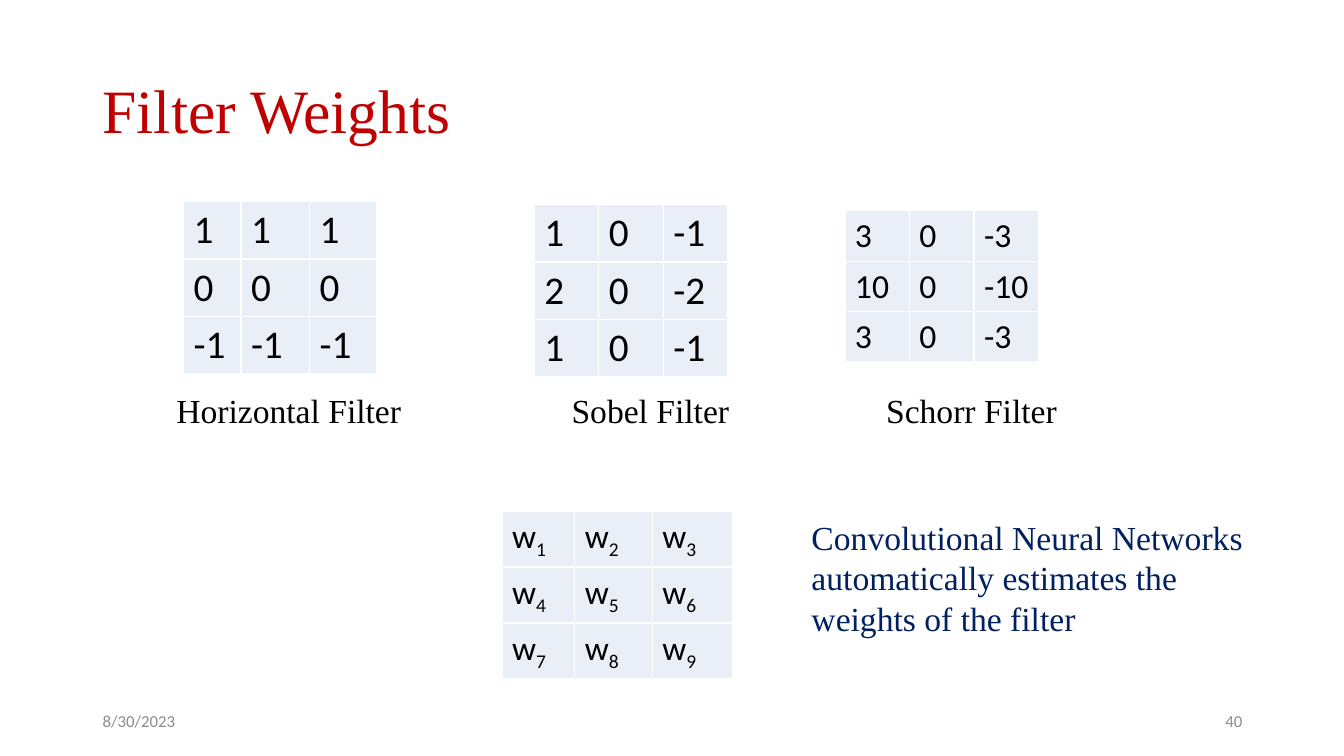
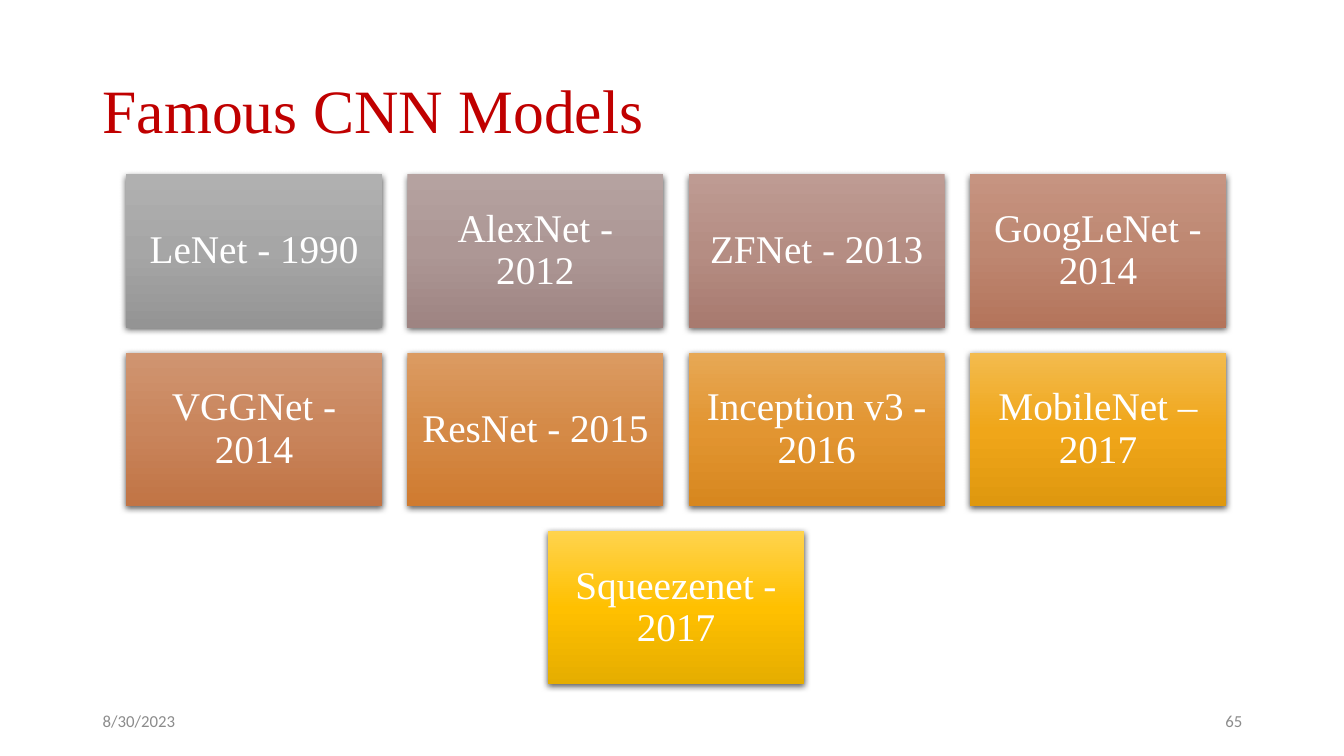
import colorsys

import pptx
import pptx.dml.color
import pptx.enum.shapes
import pptx.enum.text
import pptx.oxml
import pptx.oxml.ns
import pptx.util

Inches = pptx.util.Inches
Pt = pptx.util.Pt
ALIGN = pptx.enum.text.PP_ALIGN
MIDDLE = pptx.enum.text.MSO_ANCHOR.MIDDLE

SERIF, SANS = "Times New Roman", "Calibri"
RED, NAVY, BLACK, WHITE = "C00000", "002060", "000000", "FFFFFF"
GREY, CELL = "8C8C8C", "EAEFF7"
DATE = "8/30/2023"
NS = pptx.oxml.ns.nsdecls("a")

FILTERS = [
    ((1.82, 2), (0.57, 0.68, 0.67), 0.57, 28, ["1 1 1", "0 0 0", "-1 -1 -1"]),
    ((5.3, 2.03), (0.64, 0.64, 0.64), 0.57, 28, ["1 0 -1", "2 0 -2", "1 0 -1"]),
    ((8.38, 2.09), (0.64, 0.64, 0.64), 0.5, 24, ["3 0 -3", "10 0 -10", "3 0 -3"]),
    ((4.98, 5.07), (0.72, 0.77, 0.8), 0.53, 24, ["w_1 w_2 w_3", "w_4 w_5 w_6", "w_7 w_8 w_9"]),
]
CAPTIONS = [
    ("Horizontal Filter", (1.65, 3.82, 2.58, 0.5)),
    ("Sobel Filter", (5.57, 3.82, 2.09, 0.5)),
    ("Schorr Filter", (8.69, 3.82, 2.09, 0.5)),
]
MODELS = [
    "LeNet - 1990", "AlexNet - 2012", "ZFNet - 2013", "GoogLeNet - 2014",
    "VGGNet - 2014", "ResNet - 2015", "Inception v3 - 2016", "MobileNet – 2017",
    "Squeezenet - 2017",
]
TOP_LIGHTNESS = [0.69, 0.67, 0.66, 0.64, 0.63, 0.62, 0.62, 0.63, 0.65]
LAST_HUE = 45.2


def color(value):
    return pptx.dml.color.RGBColor.from_string(value)


def style(r, size, font, value):
    r.font.size = Pt(size)
    r.font.name = font
    r.font.color.rgb = color(value)


def write(sp, text, size, font, value, align=ALIGN.LEFT, anchor=None, spacing=None):
    tf = sp.text_frame
    tf.word_wrap = True
    tf.vertical_anchor = anchor
    tf.text = text
    p = tf.paragraphs[0]
    p.alignment = align
    p.line_spacing = spacing
    style(p.runs[0], size, font, value)


def add_text(s, box, *args, **kwargs):
    write(s.shapes.add_textbox(*map(Inches, box)), *args, **kwargs)


def add_base(prs, title, number):
    s = prs.slides.add_slide(prs.slide_layouts[6])
    add_text(s, (0.92, 0.4, 11.5, 1.45), title, 44, SERIF, RED, anchor=MIDDLE, spacing=0.9)
    add_text(s, (0.92, 6.95, 3, 0.4), DATE, 12, SANS, GREY, anchor=MIDDLE)
    add_text(s, (9.42, 6.95, 3, 0.4), number, 12, SANS, GREY, ALIGN.RIGHT, MIDDLE)
    return s


def fill_cell(cell, text, size):
    p = cell.text_frame.paragraphs[0]
    base, _, index = text.partition("_")
    p.text = base
    if index:
        r = p.add_run()
        r.text = index
        r._r.get_or_add_rPr().set("baseline", "-25000")
    for r in p.runs:
        style(r, size, SANS, BLACK)
    tc_pr = cell._tc.get_or_add_tcPr()
    for side in "LRTB":
        tc_pr.append(pptx.oxml.parse_xml(
            f'<a:ln{side} {NS} w="12700"><a:solidFill><a:srgbClr val="{WHITE}"/>'
            f'</a:solidFill></a:ln{side}>'))
    cell.fill.solid()
    cell.fill.fore_color.rgb = color(CELL)


def add_matrix(s, corner, widths, row_height, size, rows):
    box = (*corner, sum(widths), row_height * len(rows))
    table = s.shapes.add_table(len(rows), len(widths), *map(Inches, box)).table
    table.first_row = table.horz_banding = False
    for column, width in zip(table.columns, widths):
        column.width = Inches(width)
    for row, line in zip(table.rows, rows):
        row.height = Inches(row_height)
        for cell, text in zip(row.cells, line.split()):
            fill_cell(cell, text, size)


def tile_shades(i):
    t = i / (len(MODELS) - 1)
    for lightness in (TOP_LIGHTNESS[i], 0.65 - 0.15 * t, 0.58 - 0.13 * t):
        rgb = colorsys.hls_to_rgb(LAST_HUE * t / 360, lightness, t)
        yield "".join(f"{round(255 * c):02X}" for c in rgb)


def add_tile(s, box, text, shades):
    sp = s.shapes.add_shape(pptx.enum.shapes.MSO_SHAPE.RECTANGLE, *map(Inches, box))
    sp.line.fill.background()
    sp.shadow.inherit = False
    stops = "".join(f'<a:gs pos="{pos}"><a:srgbClr val="{shade}"/></a:gs>'
                    for pos, shade in zip((0, 50000, 100000), shades))
    sp_pr = sp._element.spPr
    sp_pr.insert(2, pptx.oxml.parse_xml(
        f'<a:gradFill {NS} rotWithShape="1"><a:gsLst>{stops}</a:gsLst>'
        '<a:lin ang="5400000" scaled="0"/></a:gradFill>'))
    sp_pr.find(pptx.oxml.ns.qn("a:effectLst")).append(pptx.oxml.parse_xml(
        f'<a:outerShdw {NS} blurRad="57150" dist="19050" dir="5400000" algn="ctr" '
        f'rotWithShape="0"><a:srgbClr val="{BLACK}"><a:alpha val="63000"/></a:srgbClr></a:outerShdw>'))
    tf = sp.text_frame
    tf.margin_left = tf.margin_right = tf.margin_top = tf.margin_bottom = Inches(0.12)
    write(sp, text, 28, SERIF, WHITE, ALIGN.CENTER, MIDDLE, 0.9)


def add_tile_grid(s, box, columns=4, gap=0.25):
    left, top, width, height = box
    rows = -(-len(MODELS) // columns)
    w = (width - gap * (columns - 1)) / columns
    h = (height - gap * (rows - 1)) / rows
    for i, model in enumerate(MODELS):
        row, column = divmod(i, columns)
        count = min(columns, len(MODELS) - row * columns)
        indent = (columns - count) * (w + gap) / 2
        x = left + indent + column * (w + gap)
        add_tile(s, (x, top + row * (h + gap), w, h), model, tile_shades(i))


def build_filters(prs):
    s = add_base(prs, "Filter Weights", "40")
    for matrix in FILTERS:
        add_matrix(s, *matrix)
    for text, box in CAPTIONS:
        add_text(s, box, text, 24, SERIF, BLACK)
    add_text(s, (7.95, 5.08, 4.88, 1.31),
             "Convolutional Neural Networks automatically estimates the weights of the filter",
             24, SERIF, NAVY)


def build_models(prs):
    s = add_base(prs, "Famous CNN Models", "65")
    add_tile_grid(s, (1.25, 1.73, 10.91, 5.06))


def main():
    prs = pptx.Presentation()
    prs.slide_width = Inches(13.33)
    prs.slide_height = Inches(7.5)
    build_filters(prs)
    build_models(prs)
    prs.save("out.pptx")


if __name__ == "__main__":
    main()
